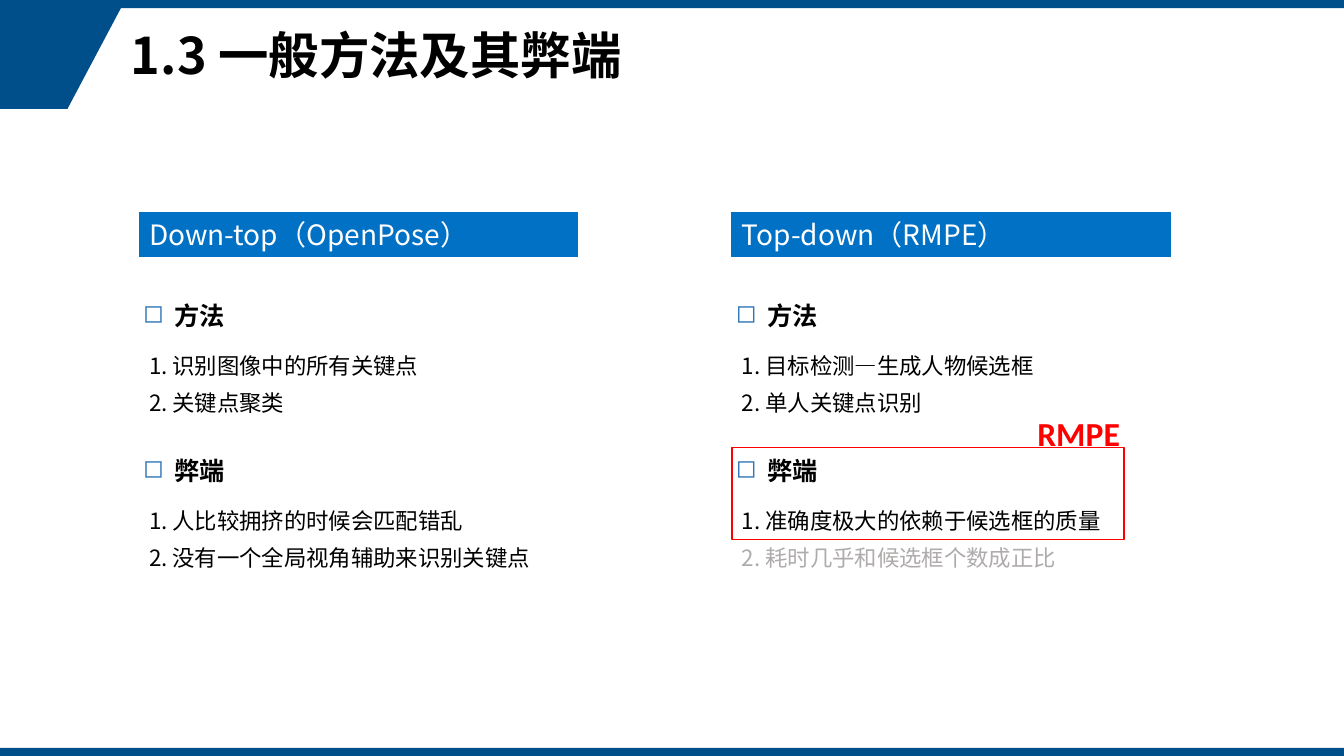
from lxml import etree
from pptx import Presentation
from pptx import util as u
from pptx.dml import color
from pptx.enum import shapes, text
from pptx.oxml import ns

COLORS = {
    "navy": "004F8A", "blue": "0171C5", "bullet": "2E75B6", "black": "000000",
    "white": "FFFFFF", "gray": "AFABAB", "red": "FF0000",
}
COLUMNS = [
    (1.38, "Down-top（OpenPose）", [
        ("方法", ["识别图像中的所有关键点", "关键点聚类"], []),
        ("弊端", ["人比较拥挤的时候会匹配错乱", "没有一个全局视角辅助来识别关键点"], []),
    ]),
    (7.26, "Top-down（RMPE）", [
        ("方法", ["目标检测—生成人物候选框", "单人关键点识别"], []),
        ("弊端", ["准确度极大的依赖于候选框的质量", "耗时几乎和候选框个数成正比"], [2]),
    ]),
]
COLUMN_WIDTH = 4.35
SECTION_TOPS = (2.93, 4.47)


def rgb(name):
    """Return the named colour."""
    return color.RGBColor.from_string(COLORS[name])


def write(shape, words, size=16, ink="black", bold=False, font="Noto Sans CJK SC",
          bullet=None, anchor=text.MSO_ANCHOR.TOP, spacing=None, grow=True):
    """Put one formatted paragraph in a shape."""
    frame = shape.text_frame
    frame.word_wrap = True
    frame.vertical_anchor = anchor
    frame.auto_size = (text.MSO_AUTO_SIZE.SHAPE_TO_FIT_TEXT if grow
                       else text.MSO_AUTO_SIZE.NONE)
    para = frame.paragraphs[0]
    para.alignment = text.PP_ALIGN.LEFT
    if spacing:
        para.line_spacing = spacing
    if bullet:
        props = para._p.get_or_add_pPr()
        props.set("marL", str(u.Inches(0.31)))
        props.set("indent", str(u.Inches(-0.31)))
        tint = etree.SubElement(props, ns.qn("a:buClr"))
        etree.SubElement(tint, ns.qn("a:srgbClr"), val=COLORS["bullet"])
        etree.SubElement(props, ns.qn("a:buChar"), char=bullet)
    span = para.add_run()
    span.text = words
    span.font.size = u.Pt(size)
    span.font.bold = bold
    span.font.color.rgb = rgb(ink)
    span.font.name = font
    etree.SubElement(span._r.get_or_add_rPr(), ns.qn("a:ea"), typeface=font)


class Page:
    """Hold the slide and draw its kinds of element."""

    def __init__(self, slide):
        """Keep the slide to draw on."""
        self.shapes = slide.shapes

    def paint(self, shape, fill=None, line=None, weight=0.75):
        """Set fill and outline and drop the shadow."""
        shape.shadow.inherit = False
        if fill:
            shape.fill.solid()
            shape.fill.fore_color.rgb = rgb(fill)
        else:
            shape.fill.background()
        if line:
            shape.line.color.rgb = rgb(line)
            shape.line.width = u.Pt(weight)
        else:
            shape.line.fill.background()
        return shape

    def rect(self, left, top, width, height, **style):
        """Draw a rectangle."""
        place = map(u.Inches, (left, top, width, height))
        box = self.shapes.add_shape(shapes.MSO_SHAPE.RECTANGLE, *place)
        return self.paint(box, **style)

    def outline(self, points, **style):
        """Draw a closed polygon."""
        corners = [(u.Inches(x), u.Inches(y)) for x, y in points]
        builder = self.shapes.build_freeform(*corners[0])
        builder.add_line_segments(corners[1:], close=True)
        return self.paint(builder.convert_to_shape(), **style)

    def label(self, left, top, width, height, words, **style):
        """Add a text box."""
        place = map(u.Inches, (left, top, width, height))
        write(self.shapes.add_textbox(*place), words, **style)

    def column(self, left, heading, sections):
        """Draw a heading bar with its bulleted sections."""
        bar = self.rect(left, 2.11, COLUMN_WIDTH, 0.44, fill="blue", line="blue")
        write(bar, heading, size=20, ink="white")
        for top, (name, items, faded) in zip(SECTION_TOPS, sections):
            self.label(left - 0.06, top, COLUMN_WIDTH, 0.4, name,
                       size=18, bold=True, bullet="◻")
            for number, item in enumerate(items, 1):
                self.label(left, top + 0.14 + 0.37 * number, COLUMN_WIDTH, 0.37,
                           f"{number}. {item}",
                           ink="gray" if number in faded else "black")


def main():
    """Build the slide and save it."""
    deck = Presentation()
    deck.slide_width, deck.slide_height = u.Inches(13.33), u.Inches(7.5)
    page = Page(deck.slides.add_slide(deck.slide_layouts[6]))
    page.outline([(0, 0.08), (1.2, 0.08), (0.67, 1.08), (0, 1.08)], fill="navy")
    for top in (0, 7.42):
        page.rect(0, top, 13.33, 0.08, fill="navy")
    page.label(1.2, 0.08, 11.22, 1, "1.3 一般方法及其弊端", size=36, bold=True,
               anchor=text.MSO_ANCHOR.MIDDLE, spacing=0.9, grow=False)
    for left, heading, sections in COLUMNS:
        page.column(left, heading, sections)
    page.rect(7.26, 4.44, 3.89, 0.91, line="red", weight=1)
    page.label(10.19, 4.05, 1.09, 0.5, "RMPE", size=24, ink="red", bold=True,
               font="Calibri")
    deck.save("out.pptx")


if __name__ == "__main__":
    main()
